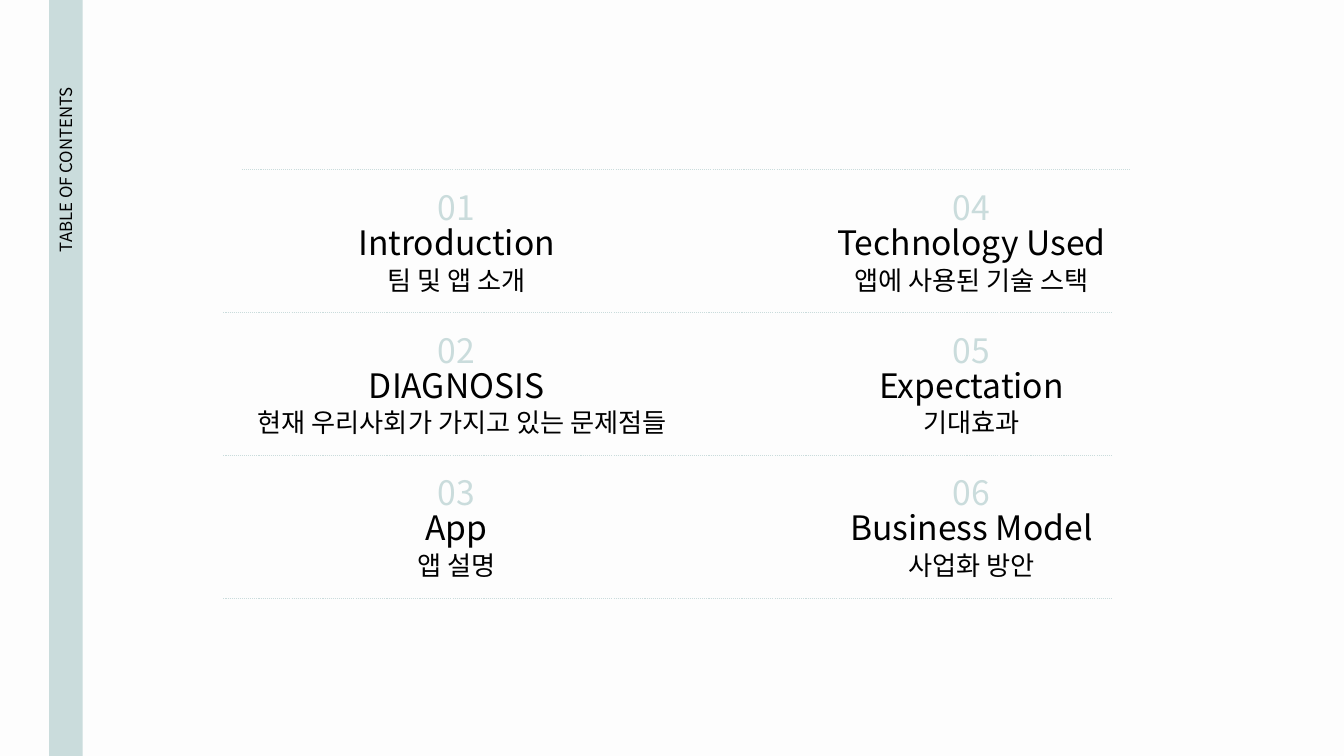
from lxml import etree
from pptx import Presentation
from pptx.dml.color import RGBColor
from pptx.enum.dml import MSO_LINE
from pptx.enum.shapes import MSO_CONNECTOR, MSO_SHAPE
from pptx.enum.text import MSO_ANCHOR, PP_ALIGN
from pptx.oxml.ns import qn
from pptx.util import Inches, Pt

RECTANGLE = MSO_SHAPE.RECTANGLE
STRAIGHT = MSO_CONNECTOR.STRAIGHT
DOTTED = MSO_LINE.ROUND_DOT
TOP, MIDDLE, BOTTOM = MSO_ANCHOR.TOP, MSO_ANCHOR.MIDDLE, MSO_ANCHOR.BOTTOM
CENTER, RIGHT = PP_ALIGN.CENTER, PP_ALIGN.RIGHT

PAPER = RGBColor(0xFD, 0xFD, 0xFD)
MINT = RGBColor(0xCA, 0xDC, 0xDC)
BLACK = RGBColor(0x00, 0x00, 0x00)
FONT = "Noto Sans CJK KR"

GRID_COLUMNS, GRID_ROWS = 160, 90
FIRST_CENTER, CENTER_STEP = 54.36, 61.3
FIRST_RULE, ENTRY_STEP = 20.2, 17
ENTRIES_PER_COLUMN = 3
RULE_START, RULE_END = 26.6, 132.5
TOP_RULE_SHIFT = 2.2
BAR_CENTER = 7.86

ENTRIES = [
    ("Introduction", "팀 및 앱 소개"),
    ("DIAGNOSIS", "현재 우리사회가 가지고 있는 문제점들"),
    ("App", "앱 설명"),
    ("Technology Used", "앱에 사용된 기술 스택"),
    ("Expectation", "기대효과"),
    ("Business Model", "사업화 방안"),
]


def write_text(frame, text, size=24, color=BLACK, align=CENTER, anchor=MIDDLE,
               line_spacing=None, space_after=None):
    frame.word_wrap = True
    frame.vertical_anchor = anchor
    frame.margin_left = frame.margin_right = Inches(0.13)
    frame.margin_top = frame.margin_bottom = Inches(0.13)
    paragraph = frame.paragraphs[0]
    paragraph.alignment = align
    paragraph.line_spacing = line_spacing
    paragraph.space_after = space_after
    run = paragraph.add_run()
    run.text = text
    run.font.name = FONT
    run.font.size = Pt(size)
    run.font.color.rgb = color
    east_asian = etree.SubElement(run.font._element, qn("a:ea"))
    east_asian.set("typeface", FONT)


class ContentsSlide:
    """Hold the style, the grid and the slide being drawn."""

    def __init__(self, presentation):
        self.column = presentation.slide_width / GRID_COLUMNS
        self.row = presentation.slide_height / GRID_ROWS
        self.slide = presentation.slides.add_slide(presentation.slide_layouts[6])
        background = self.slide.background.fill
        background.solid()
        background.fore_color.rgb = PAPER

    def box(self, center, top, width, height):
        return (round((center - width / 2) * self.column), round(top * self.row),
                round(width * self.column), round(height * self.row))

    def bar(self, center, top, width, height):
        shape = self.slide.shapes.add_shape(
            RECTANGLE, *self.box(center, top, width, height))
        shape.shadow.inherit = False
        shape.fill.solid()
        shape.fill.fore_color.rgb = MINT
        shape.line.fill.background()

    def text(self, text, center, top, width, height, rotation=0, **text_format):
        shape = self.slide.shapes.add_textbox(*self.box(center, top, width, height))
        shape.rotation = rotation
        write_text(shape.text_frame, text, **text_format)

    def rule(self, start, end, row):
        height = round(row * self.row)
        connector = self.slide.shapes.add_connector(
            STRAIGHT, round(start * self.column), height,
            round(end * self.column), height)
        connector.line.color.rgb = MINT
        connector.line.width = Pt(0.75)
        connector.line.dash_style = DOTTED
        etree.SubElement(connector._element.spPr, qn("a:effectLst"))

    def entry(self, number, title, subtitle, center, top):
        wide = number == 2
        self.text(subtitle, center + (0.66 if wide else 0), top + 9.1,
                  70.4 if wide else 50.4, 5.6, size=18.7, anchor=TOP,
                  line_spacing=1.15, space_after=Pt(21.3))
        self.text(title, center, top + 5.8, 56.3, 5.6)
        self.text(f"{number:02d}", center, top + 2.2, 9.8, 6.2,
                  color=MINT, anchor=BOTTOM)


def main():
    presentation = Presentation()
    presentation.slide_width = Inches(13.33)
    presentation.slide_height = Inches(7.5)
    contents = ContentsSlide(presentation)
    contents.bar(BAR_CENTER, -0.8, 4, 91.6)
    contents.text("TABLE OF CONTENTS", BAR_CENTER, 44.6, 75.2, 3.6,
                  rotation=270, size=12, align=RIGHT)
    for index, (title, subtitle) in enumerate(ENTRIES):
        column, row = divmod(index, ENTRIES_PER_COLUMN)
        contents.entry(index + 1, title, subtitle,
                       FIRST_CENTER + column * CENTER_STEP,
                       FIRST_RULE + row * ENTRY_STEP)
    for row in range(ENTRIES_PER_COLUMN + 1):
        shift = TOP_RULE_SHIFT if row == 0 else 0
        contents.rule(RULE_START + shift, RULE_END + shift,
                      FIRST_RULE + row * ENTRY_STEP)
    presentation.save("out.pptx")


if __name__ == "__main__":
    main()
